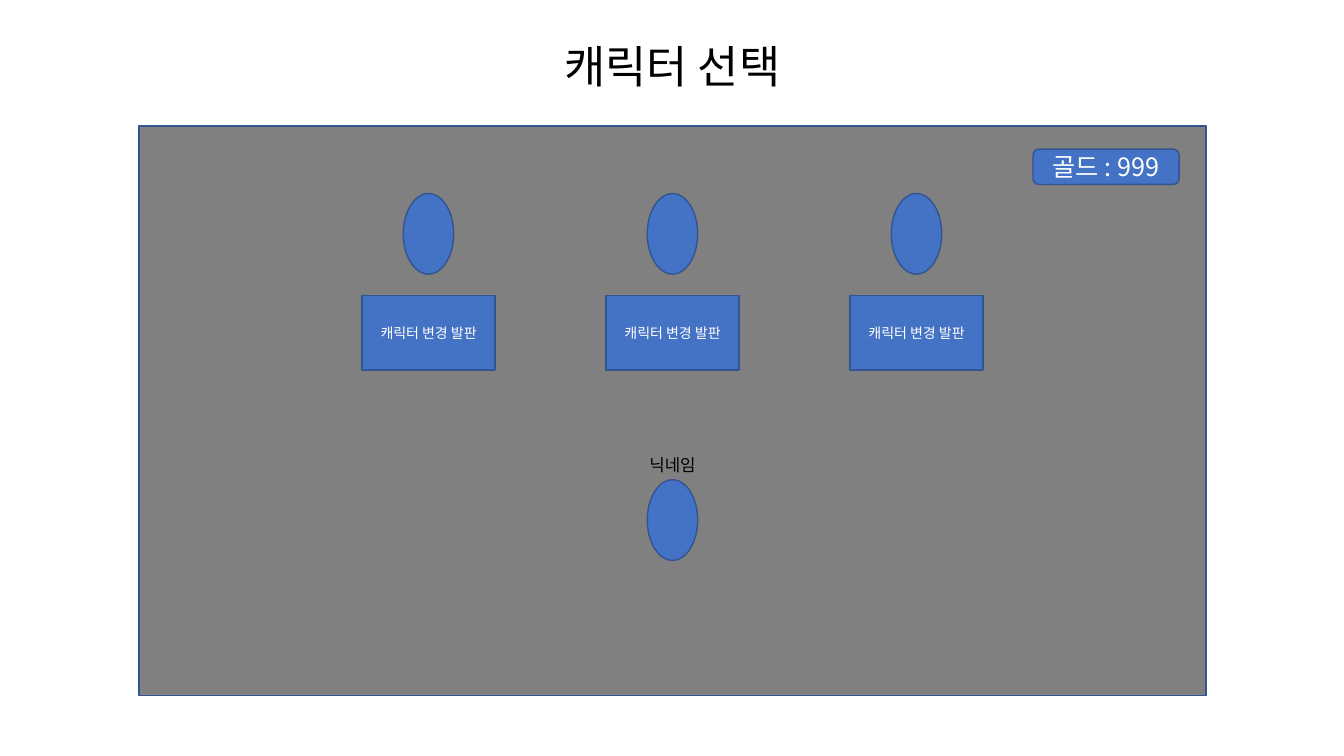
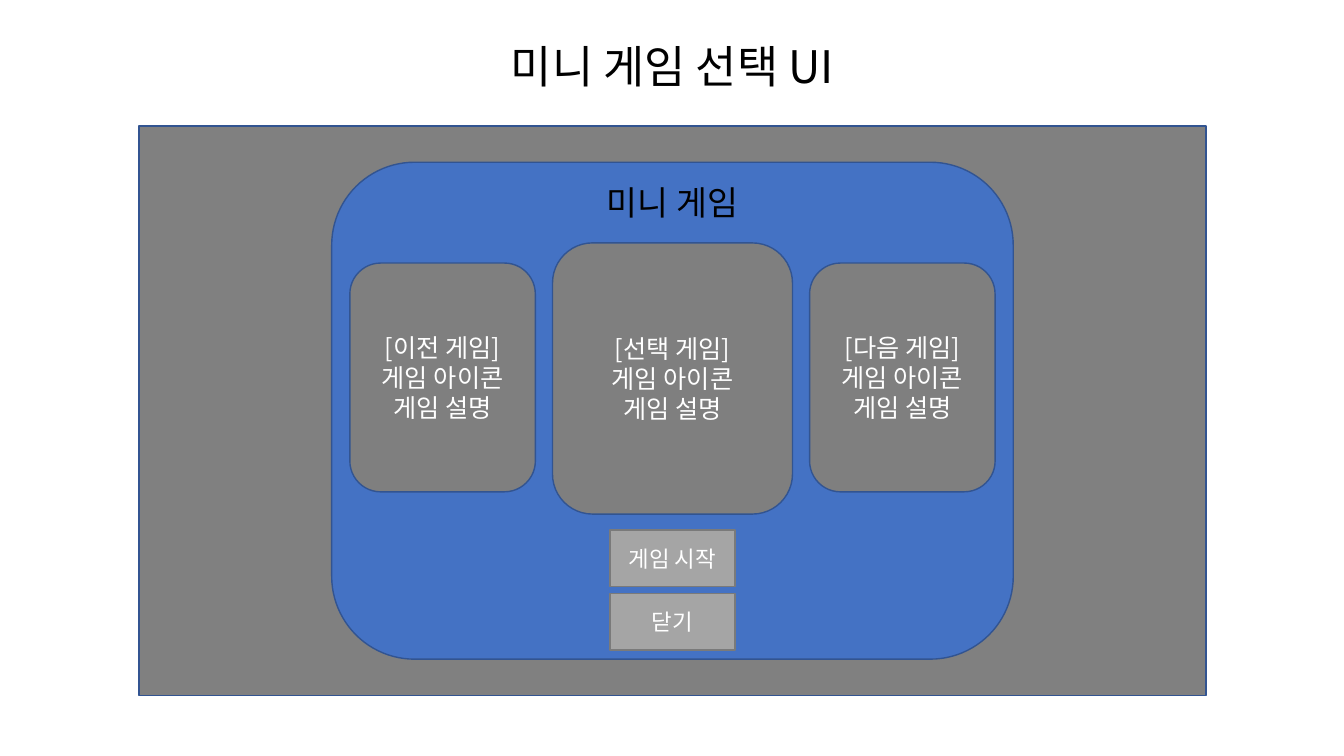
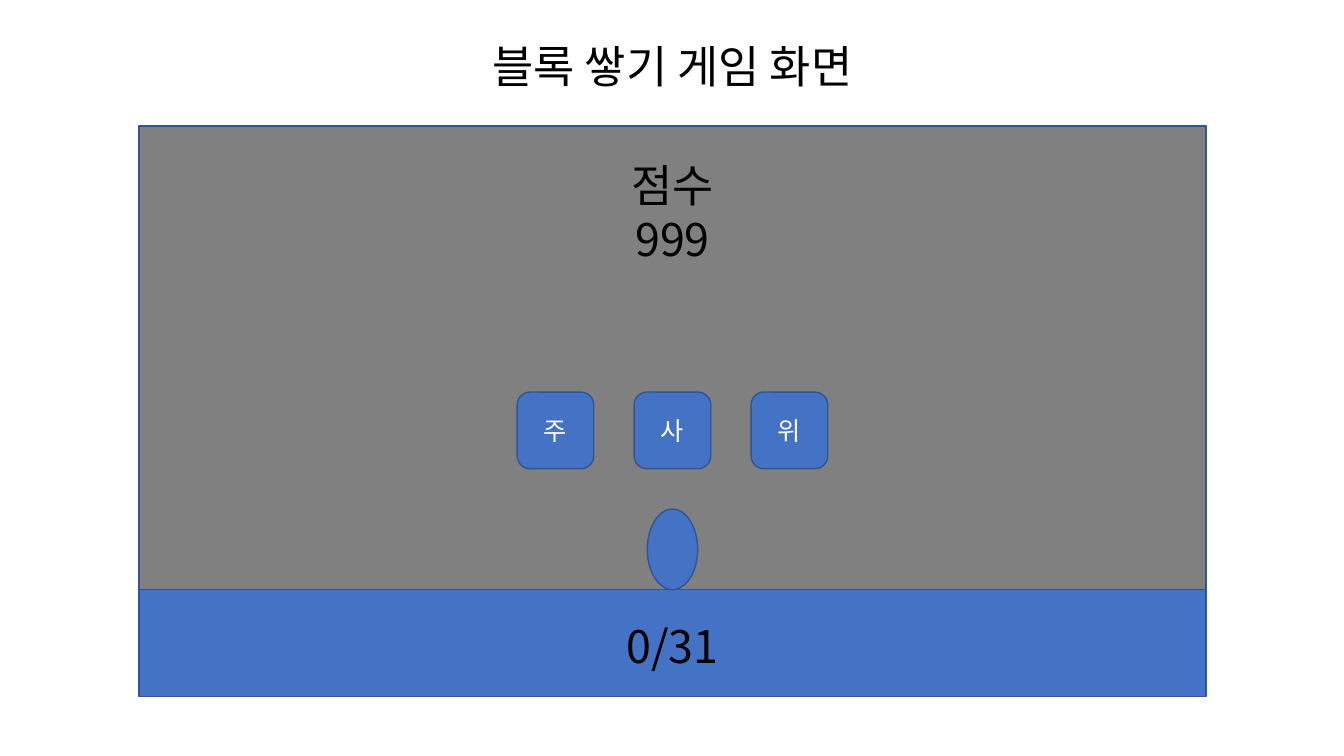
import pptx
import pptx.dml.color
import pptx.enum.shapes
import pptx.enum.text
import pptx.oxml.ns
import pptx.util
from lxml import etree

Inches = pptx.util.Inches
Shape = pptx.enum.shapes.MSO_SHAPE
Anchor = pptx.enum.text.MSO_ANCHOR

FONT = "Noto Sans CJK KR"
BLUE, OUTLINE = "4472C4", "325491"
GRAY, CARD_GRAY = "808080", "7F7F7F"
BUTTON_GRAY, BUTTON_OUTLINE = "A5A5A5", "7A7A7A"
BLACK, WHITE = "000000", "FFFFFF"
CENTER = 6.67
FRAME_WIDTH = 10.58


def write(box, text, size, color, anchor):
    """Set centred text in the shared font, for Latin and Korean letters alike."""
    frame = box.text_frame
    frame.text = text
    frame.word_wrap = True
    frame.auto_size = pptx.enum.text.MSO_AUTO_SIZE.NONE
    frame.vertical_anchor = anchor
    for paragraph in frame.paragraphs:
        paragraph.alignment = pptx.enum.text.PP_ALIGN.CENTER
        for span in paragraph.runs:
            span.font.name = FONT
            span.font.size = pptx.util.Pt(size)
            span.font.color.rgb = pptx.dml.color.RGBColor.from_string(color)
            east_asian = etree.Element(pptx.oxml.ns.qn("a:ea"), typeface=FONT)
            span.font._element.find(pptx.oxml.ns.qn("a:latin")).addnext(east_asian)


def draw(page, kind, middle, top, width, height, text="", size=18,
         fill=BLUE, outline=OUTLINE):
    """Add a shape centred on middle; without a kind, a label in black text."""
    place = [Inches(n) for n in (middle - width / 2, top, width, height)]
    if kind is None:
        write(page.shapes.add_textbox(*place), text, size, BLACK, Anchor.TOP)
        return
    box = page.shapes.add_shape(kind, *place)
    box.shadow.inherit = False
    box.fill.solid()
    box.fill.fore_color.rgb = pptx.dml.color.RGBColor.from_string(fill)
    box.line.color.rgb = pptx.dml.color.RGBColor.from_string(outline)
    box.line.width = pptx.util.Pt(1)
    if text:
        write(box, text, size, WHITE, Anchor.MIDDLE)


deck = pptx.Presentation()
deck.slide_width = Inches(13.33)
deck.slide_height = Inches(7.5)

# Title and game screen shared by all slides
pages = []
for heading in ("캐릭터 선택", "미니 게임 선택 UI", "블록 쌓기 게임 화면"):
    page = deck.slides.add_slide(deck.slide_layouts[5])
    title = page.shapes.title
    title.left, title.top = Inches(CENTER - 3), Inches(0.33)
    title.width, title.height = Inches(6), Inches(0.64)
    write(title, heading, 32, BLACK, Anchor.TOP)
    draw(page, Shape.RECTANGLE, CENTER, 1.25, FRAME_WIDTH, 5.65, fill=GRAY)
    pages.append(page)
character_page, menu_page, block_page = pages

# Character selection
draw(character_page, Shape.ROUNDED_RECTANGLE, 10.97, 1.48, 1.45, 0.35, "골드 : 999")
for column in (-1, 0, 1):
    middle = CENTER + column * 2.42
    draw(character_page, Shape.OVAL, middle, 1.92, 0.5, 0.8)
    draw(character_page, Shape.RECTANGLE, middle, 2.93, 1.32, 0.74, "캐릭터 변경 발판", 10)
draw(character_page, None, CENTER, 4.46, 0.95, 0.3, "닉네임", 12)
draw(character_page, Shape.OVAL, CENTER, 4.76, 0.5, 0.8)

# Mini game menu
draw(menu_page, Shape.ROUNDED_RECTANGLE, CENTER, 1.61, 6.76, 4.93)
draw(menu_page, None, CENTER, 1.76, 1.66, 0.5, "미니 게임", 24)
for column, name, top, width, height in (
    (-1, "이전", 2.61, 1.84, 2.27),
    (0, "선택", 2.41, 2.38, 2.69),
    (1, "다음", 2.61, 1.84, 2.27),
):
    draw(menu_page, Shape.ROUNDED_RECTANGLE, CENTER + column * 2.28, top, width, height,
         f"[{name} 게임]\n게임 아이콘\n게임 설명", fill=CARD_GRAY)
for row, label in enumerate(("게임 시작", "닫기")):
    draw(menu_page, Shape.RECTANGLE, CENTER, 5.26 + row * 0.63, 1.24, 0.56, label, 16,
         BUTTON_GRAY, BUTTON_OUTLINE)

# Block stacking game
draw(block_page, None, CENTER, 1.52, 1.71, 1.18, "점수\n999", 32)
for column, letter in enumerate("주사위", start=-1):
    draw(block_page, Shape.ROUNDED_RECTANGLE, CENTER + column * 1.16, 3.89, 0.76, 0.76, letter)
draw(block_page, Shape.RECTANGLE, CENTER, 5.85, FRAME_WIDTH, 1.06)
draw(block_page, Shape.OVAL, CENTER, 5.05, 0.5, 0.8)
draw(block_page, None, CENTER, 6.09, 2.73, 0.64, "0/31", 32)

deck.save("out.pptx")
